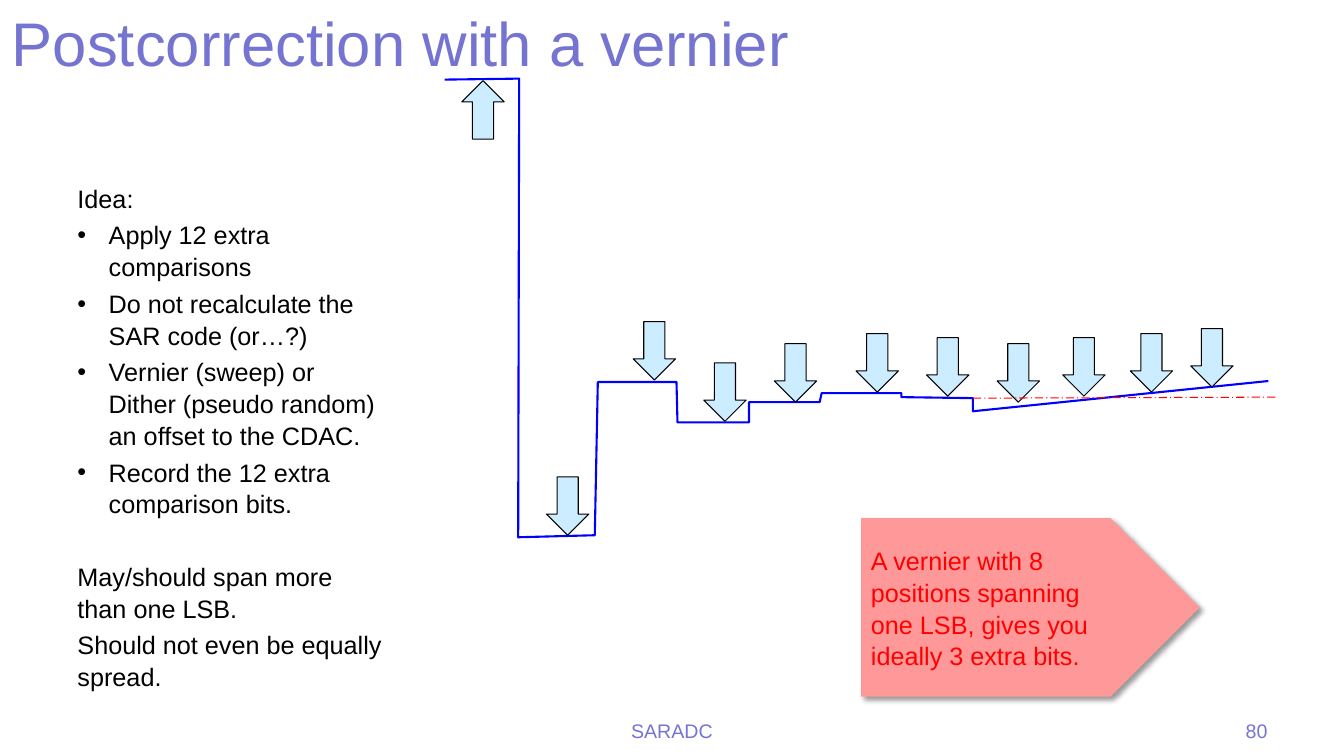
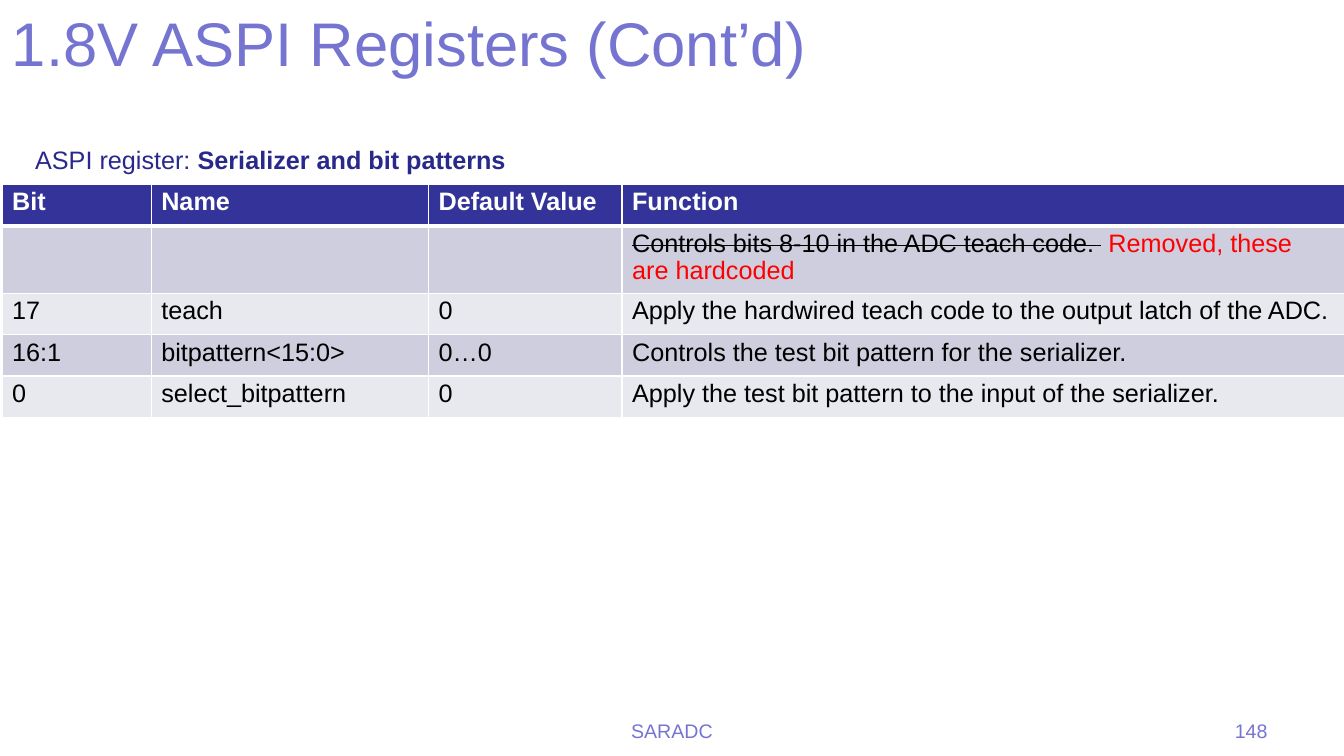
from lxml import etree
from pptx import Presentation, util as u
from pptx.dml.color import RGBColor
from pptx.enum import dml, shapes, text
from pptx.oxml.ns import qn

PX = 9144  # EMU per px, 100 px to the inch
HUE = {
    "title": "7575D1", "ink": "000000", "note": "FF0000", "label": "29298B",
    "wave": "0000FF", "arrow": "CCECFF", "call": "FF9999", "white": "FFFFFF",
    "head": "333399", "odd": "CECEDE", "even": "E8E8EF",
}
LEFT, MID, RIGHT = text.PP_ALIGN.LEFT, text.PP_ALIGN.CENTER, text.PP_ALIGN.RIGHT

# Shared places: left, top, width, height
TITLE = (2, 0, 1200, 125)
FOOT = (411, 708, 511, 42)
PAGE = (956, 708, 311, 42)

# Vernier slide: (text, bulleted, space before in points)
IDEA = [
    ("Idea:", False, 0),
    ("Apply 12 extra comparisons", True, 3.6),
    ("Do not recalculate the SAR code (or…?)", True, 3.6),
    ("Vernier (sweep) or Dither (pseudo random) an offset to the CDAC.", True, 3.6),
    ("Record the 12 extra comparison bits.", True, 3.6),
    ("May/should span more than one LSB.", False, 29),
    ("Should not even be equally spread.", False, 3.6),
]
CALL = "A vernier with 8 positions spanning one LSB, gives you ideally 3 extra bits."
WAVE = [
    (441, 79), (515, 78), (514, 533), (590, 531), (593, 379), (671, 379),
    (672, 419), (743, 419), (743, 399), (813, 399), (815, 390), (894, 390),
    (894, 394), (965, 395), (965, 408), (1258, 378),
]
LEVEL = ((965, 395), (1267, 394))
UP = (458, 80)
DOWN = [
    (542, 473), (628, 319), (698, 360), (768, 341), (849, 331), (919, 335),
    (989, 341), (1054, 335), (1121, 331), (1181, 326),
]

# Register slide: a cell is a list of (text, format) runs
LABEL = [("ASPI register: ", {}), ("Serializer and bit patterns", {"bold": True})]
GONE = [
    ("Controls bits 8-10 in the ADC teach code. ", {"strike": True}),
    (" Removed, these are hardcoded", {"hue": "note"}),
]
COLS = (148, 275, 192, 717)
ROWS = (41, 65, 41, 41, 41)
CELLS = [
    ("Bit", "Name", "Default Value", "Function"),
    ("", "", "", GONE),
    ("17", "teach", "0",
     "Apply the hardwired teach code to the output latch of the ADC."),
    ("16:1", "bitpattern<15:0>", "0…0",
     "Controls the test bit pattern for the serializer."),
    ("0", "select_bitpattern", "0",
     "Apply the test bit pattern to the input of the serializer."),
]


def rgb(hue):
    return RGBColor.from_string(HUE[hue])


def box(*place):
    return [n * PX for n in place]


def style(par, runs, hue="ink", size=18, **form):
    """Write runs into a paragraph; form holds paragraph attributes."""
    for name, val in form.items():
        setattr(par, name, val)
    for words, extra in [(runs, {})] if isinstance(runs, str) else runs:
        run = par.add_run()
        run.text = words
        look = {"name": "Arial", "size": u.Pt(size), "bold": extra.get("bold", False)}
        for name, val in look.items():
            setattr(run.font, name, val)
        run.font.color.rgb = rgb(extra.get("hue", hue))
        if extra.get("strike"):
            run._r.get_or_add_rPr().set("strike", "sngStrike")


def write(slide, place, runs, wrap=True, **form):
    frame = slide.shapes.add_textbox(*box(*place)).text_frame
    frame.word_wrap = wrap
    style(frame.paragraphs[0], runs, **form)


def bullet(par):
    props = par._p.get_or_add_pPr()
    props.set("marL", str(31 * PX))
    props.set("indent", str(-31 * PX))
    etree.SubElement(props, qn("a:buFont")).set("typeface", "Arial")
    etree.SubElement(props, qn("a:buChar")).set("char", "•")


def block(slide, kind, place, fill, line=None):
    shape = slide.shapes.add_shape(kind, *box(*place))
    shape.shadow.inherit = False
    shape.fill.solid()
    shape.fill.fore_color.rgb = rgb(fill)
    if line:
        shape.line.color.rgb = rgb(line)
        shape.line.width = u.Pt(0.75)
    else:
        shape.line.fill.background()
    return shape


def shade(shape):
    """Soft drop shadow."""
    fx = shape._element.spPr.find(qn("a:effectLst"))
    drop = etree.SubElement(fx, qn("a:outerShdw"), blurRad=str(u.Pt(4)),
                            dist=str(u.Pt(3)), dir="2700000", algn="tl",
                            rotWithShape="0")
    tint = etree.SubElement(drop, qn("a:srgbClr"), val=HUE["ink"])
    etree.SubElement(tint, qn("a:alpha"), val="40000")


def edge(cell, **sides):
    """Cell borders, widths in points."""
    props = cell._tc.get_or_add_tcPr()
    for side in "LRTB":
        line = etree.SubElement(props, qn("a:ln" + side), w=str(u.Pt(sides.get(side, 1))))
        fill = etree.SubElement(line, qn("a:solidFill"))
        etree.SubElement(fill, qn("a:srgbClr"), val=HUE["white"])


def base(deck, title, page):
    slide = deck.slides.add_slide(deck.slide_layouts[6])
    write(slide, TITLE, title, hue="title", size=44)
    write(slide, FOOT, "SARADC", hue="title", size=14, alignment=MID)
    write(slide, PAGE, page, hue="title", size=14, alignment=RIGHT)
    return slide


def vernier(deck):
    slide = base(deck, "Postcorrection with a vernier", "80")

    # Idea list
    frame = slide.shapes.add_textbox(*box(67, 175, 325, 508)).text_frame
    frame.word_wrap = True
    for i, (words, dot, gap) in enumerate(IDEA):
        par = frame.add_paragraph() if i else frame.paragraphs[0]
        if dot:
            bullet(par)
        style(par, words, space_before=u.Pt(gap), line_spacing=1.05)

    # Settling wave
    pen = slide.shapes.build_freeform(*WAVE[0], scale=PX)
    pen.add_line_segments(WAVE[1:], close=False)
    wave = pen.convert_to_shape()
    wave.shadow.inherit = False
    wave.fill.background()
    wave.line.color.rgb = rgb("wave")
    wave.line.width = u.Pt(1.5)

    # Comparison arrows
    for spot in [UP] + DOWN:
        arrow = block(slide, shapes.MSO_SHAPE.DOWN_ARROW, (*spot, 42, 58), "arrow", "ink")
        arrow.rotation = 180 if spot == UP else 0

    # Callout
    call = block(slide, shapes.MSO_SHAPE.RIGHT_ARROW, (854, 514, 336, 177), "call")
    call.adjustments[0], call.adjustments[1] = 1, 0.5
    shade(call)
    frame = call.text_frame
    frame.word_wrap = True
    frame.vertical_anchor = text.MSO_ANCHOR.MIDDLE
    style(frame.paragraphs[0], CALL, "note", alignment=LEFT, line_spacing=1.05)

    # Final level
    (x, y), (far, end) = LEVEL
    line = slide.shapes.add_connector(shapes.MSO_CONNECTOR.STRAIGHT, *box(x, y, far, end))
    line.line.color.rgb = rgb("note")
    line.line.width = u.Pt(0.75)
    line.line.dash_style = dml.MSO_LINE.LONG_DASH_DOT
    etree.SubElement(line._element.spPr, qn("a:effectLst"))


def registers(deck):
    slide = base(deck, "1.8V ASPI Registers (Cont’d)", "148")
    write(slide, (25, 138, 491, 40), LABEL, wrap=False, hue="label")

    # Register table
    place = box(2, 183, sum(COLS), sum(ROWS))
    grid = slide.shapes.add_table(len(ROWS), len(COLS), *place).table
    for col, wide in zip(grid.columns, COLS):
        col.width = wide * PX
    for r, (row, high) in enumerate(zip(CELLS, ROWS)):
        grid.rows[r].height = high * PX
        for c, runs in enumerate(row):
            cell = grid.cell(r, c)
            edge(cell, T=3 if r == 1 else 1, B=1 if r else 3)
            cell.fill.solid()
            cell.fill.fore_color.rgb = rgb(("even", "odd")[r % 2] if r else "head")
            if not r:
                runs = [(runs, {"bold": True, "hue": "white"})]
            if runs:
                style(cell.text_frame.paragraphs[0], runs, line_spacing=0.95)


def main():
    deck = Presentation()
    deck.slide_width, deck.slide_height = box(1333, 750)
    vernier(deck)
    registers(deck)
    deck.save("out.pptx")


if __name__ == "__main__":
    main()
